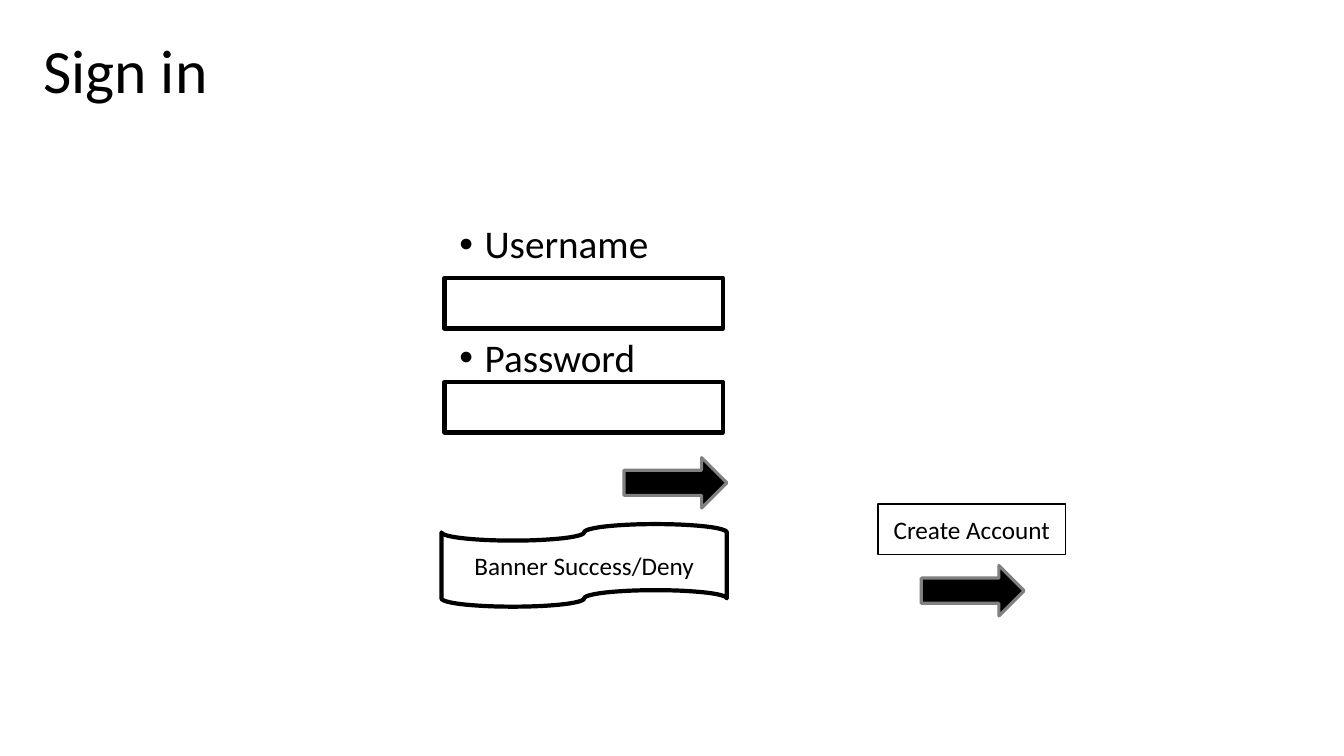
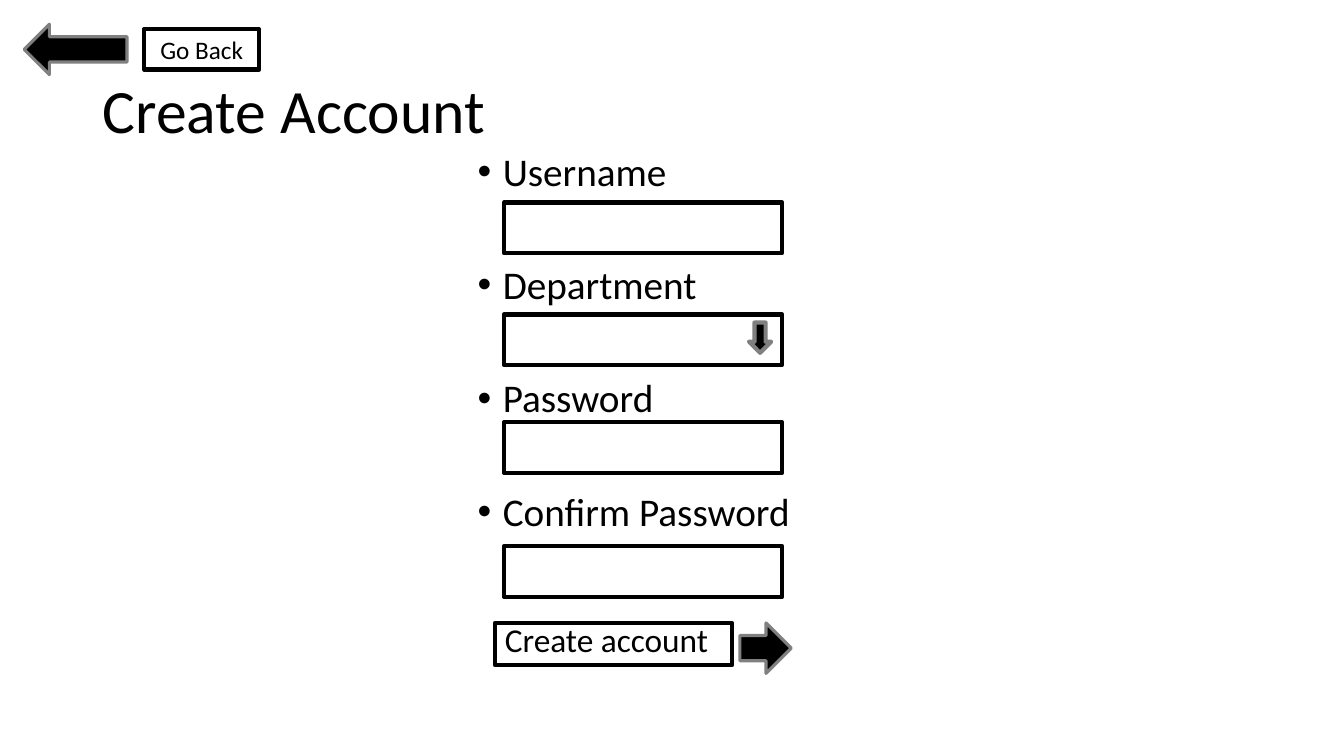
from pptx import Presentation
from pptx.dml.color import RGBColor
from pptx.enum.shapes import MSO_SHAPE as Kind
from pptx.enum.text import MSO_ANCHOR as Anchor, PP_ALIGN as Align
from pptx.util import Inches, Pt
from lxml.etree import SubElement
from pptx.oxml.ns import qn

# Shared style
BLACK = RGBColor(0, 0, 0)
WHITE = RGBColor(255, 255, 255)
GRAY = RGBColor(128, 128, 128)
FONT = "Calibri"
WIDE, HIGH = Inches(13.333), Inches(7.5)
FIELD = (20.7, 6.67)
ARROW = (7.65, 6.67)


def area(x, y, w, h):
    """Turn percent shares of the slide into lengths."""
    return [round(share * side / 100)
            for share, side in zip((x, y, w, h), (WIDE, HIGH) * 2)]


def style(para, size, align=Align.LEFT):
    para.alignment = align
    para.font.name = FONT
    para.font.size = Pt(size)
    para.font.color.rgb = BLACK


def add_page(deck, text, x, y):
    """Add a slide with its title."""
    page = deck.slides.add_slide(deck.slide_layouts[5])
    title = page.shapes.title
    title.left, title.top, title.width, title.height = area(x, y, 86.25, 19.33)
    frame = title.text_frame
    frame.text = text
    frame.vertical_anchor = Anchor.MIDDLE
    para = frame.paragraphs[0]
    para.line_spacing = 0.9
    style(para, 44)
    return page


def add_list(page, names, *box):
    """Add bulleted labels, with room for a field below each."""
    frame = page.shapes.add_textbox(*area(*box)).text_frame
    frame.word_wrap = True
    for row, name in enumerate(names):
        para = frame.add_paragraph() if row else frame.paragraphs[0]
        para.text = name
        props = para._p.get_or_add_pPr()
        props.set("marL", str(Inches(0.25)))
        props.set("indent", str(-Inches(0.25)))
        SubElement(props, qn("a:buFont")).set("typeface", "Arial")
        SubElement(props, qn("a:buChar")).set("char", "•")
        para.line_spacing = 0.9
        para.space_before = Pt(50.8 if row else 10)
        style(para, 28)


def add_form(page, kind, box, fill=None, line=BLACK, width=3):
    """Add a plain outlined shape."""
    form = page.shapes.add_shape(kind, *area(*box))
    form.shadow.inherit = False
    if fill is None:
        form.fill.background()
    else:
        form.fill.solid()
        form.fill.fore_color.rgb = fill
    form.line.color.rgb = line
    form.line.width = Pt(width)
    return form


def add_fields(page, x, tops):
    for top in tops:
        add_form(page, Kind.RECTANGLE, (x, top, *FIELD))


def add_arrow(page, x, y, w=ARROW[0], h=ARROW[1],
              kind=Kind.RIGHT_ARROW, width=2.25):
    return add_form(page, kind, (x, y, w, h), BLACK, GRAY, width)


def add_label(page, text, box, kind=Kind.RECTANGLE, width=3,
              size=18, align=Align.CENTER):
    """Add a white shape with one line of text."""
    form = add_form(page, kind, box, WHITE, width=width)
    frame = form.text_frame
    frame.text = text
    frame.vertical_anchor = Anchor.MIDDLE
    style(frame.paragraphs[0], size, align)
    return frame.paragraphs[0]


def sign_in(deck):
    page = add_page(deck, "Sign in", 2.48, 0)
    add_list(page, ["Username", "Password"], 33.45, 29.07, 26.25, 27.07)
    add_fields(page, 33.08, [36.8, 50.53])
    add_arrow(page, 46.43, 60.53)
    add_label(page, "Banner Success/Deny", (32.85, 69.33, 21.23, 10.93),
              Kind.FLOWCHART_PUNCHED_TAPE)
    add_arrow(page, 68.55, 74.8)
    add_label(page, "Create Account", (65.33, 66.67, 13.95, 6.67), width=1)


def sign_up(deck):
    page = add_page(deck, "Create Account", 6.9, 5.33)
    names = ["Username", "Department", "Password", "Confirm Password"]
    add_list(page, names, 34.8, 19.47, 43.5, 52.8)
    add_fields(page, 37.5, [26.8, 41.6, 55.87, 72.27])
    add_arrow(page, 55.73, 42.67, 1.65, 4, Kind.DOWN_ARROW, 3)

    # Way back and way on
    add_arrow(page, 1.8, 3.2).rotation = 180
    add_label(page, "Go Back", (10.73, 3.87, 8.55, 5.33))
    add_arrow(page, 55.05, 82.4, ARROW[0] / 2)
    para = add_label(page, "Create account", (36.83, 82.4, 17.63, 5.6),
                     size=23.8, align=Align.LEFT)
    para.line_spacing = 0.7
    para.space_before = Pt(10)


def main():
    deck = Presentation()
    deck.slide_width, deck.slide_height = WIDE, HIGH
    sign_in(deck)
    sign_up(deck)
    deck.save("out.pptx")


main()
